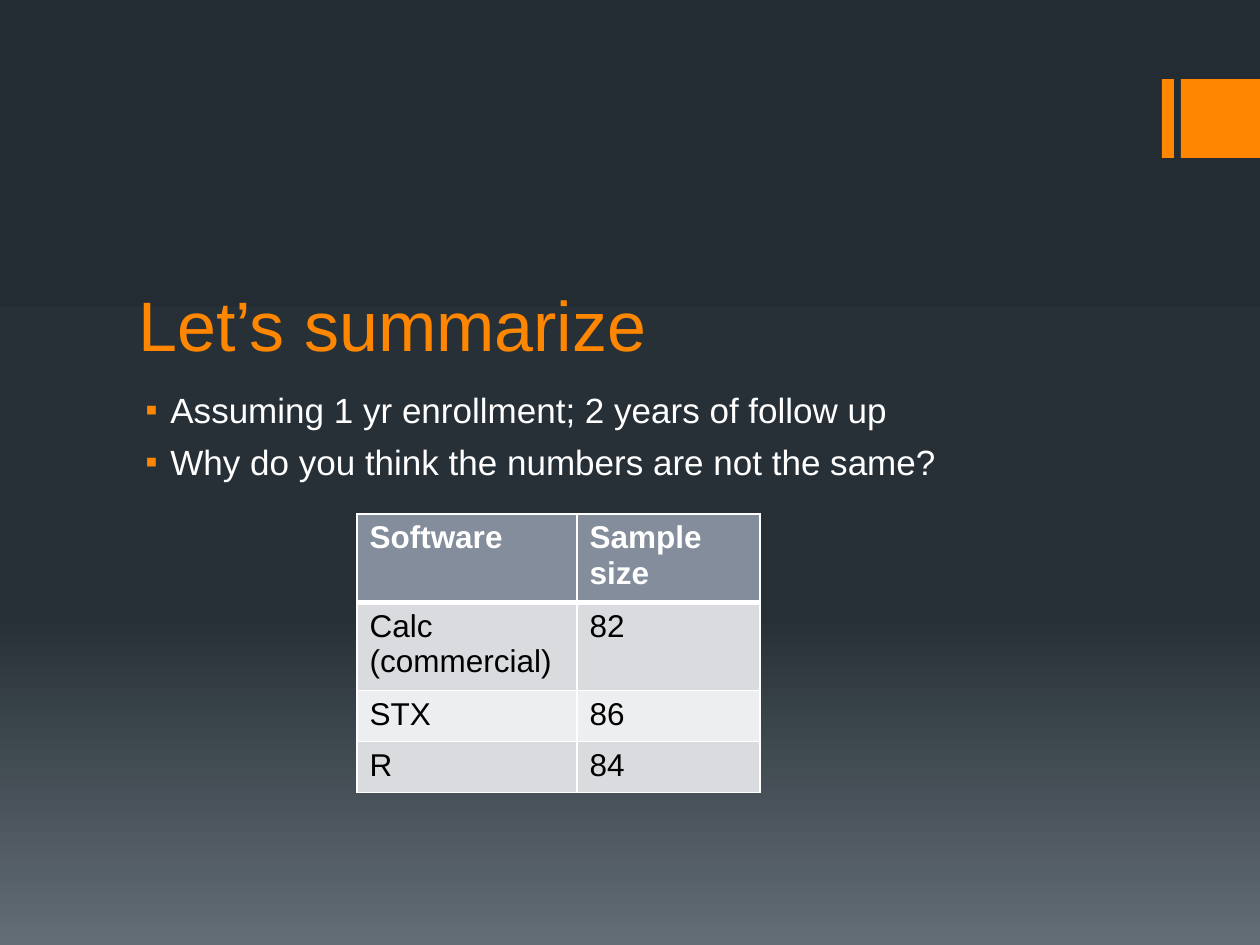
from lxml.etree import SubElement
from pptx import Presentation
from pptx.dml.color import RGBColor
from pptx.enum.shapes import MSO_SHAPE
from pptx.enum.text import MSO_ANCHOR, PP_ALIGN
from pptx.oxml import parse_xml
from pptx.oxml.ns import nsdecls, qn
from pptx.util import Pt

SCALE = 914400 / 126
FONT = "Arial"
COLORS = {
    "night": "242C33", "slate": "273037", "mist": "636D76",
    "accent": "FF8600", "light": "FFFFFF", "dark": "000000",
    "header": "838D9B", "odd": "D9DBDE", "even": "EDEEEF",
}
POINTS = ["Assuming 1 yr enrollment; 2 years of follow up",
          "Why do you think the numbers are not the same?"]
SAMPLE_SIZES = [("Software", "Sample size"), ("Calc (commercial)", "82"),
                ("STX", "86"), ("R", "84")]


def px(length):
    """Turn pixels into EMU."""
    return round(length * SCALE)


def rgb(name):
    """Look up a named colour."""
    return RGBColor.from_string(COLORS[name])


def style(paragraph, size, color, bold=False):
    """Format every run of a paragraph."""
    paragraph.alignment = PP_ALIGN.LEFT
    for run in paragraph.runs:
        run.font.name, run.font.size, run.font.bold = FONT, Pt(size), bold
        run.font.color.rgb = rgb(color)


def paint_background(slide):
    """Fill the slide with a downward three-stop gradient."""
    fill = slide.background.fill
    fill.gradient()
    fill.gradient_angle = 270
    stops = next(slide.element.iter(qn("a:gsLst")))
    for stop in list(stops):
        stops.remove(stop)
    for percent, color in ((0, "night"), (65, "slate"), (100, "mist")):
        stop = SubElement(stops, qn("a:gs"), pos=str(percent * 1000))
        SubElement(stop, qn("a:srgbClr"), val=COLORS[color])


def add_corner_bars(slide, left, top, width, height):
    """Place a thin bar and a square against the right edge."""
    for offset, bar_width in ((0, 12), (width - height, height)):
        bar = slide.shapes.add_shape(MSO_SHAPE.RECTANGLE, px(left + offset), px(top),
                                     px(bar_width), px(height))
        bar.shadow.inherit = False
        bar.fill.solid()
        bar.fill.fore_color.rgb = rgb("accent")
        bar.line.fill.background()


def add_text_frame(slide, left, top, width, height):
    """Add a wrapping text box and return its frame."""
    frame = slide.shapes.add_textbox(px(left), px(top), px(width), px(height)).text_frame
    frame.word_wrap = True
    return frame


def add_title(slide, left, top, width, height):
    """Place the heading at the bottom of its box."""
    heading = add_text_frame(slide, left, top, width, height)
    heading.vertical_anchor = MSO_ANCHOR.BOTTOM
    heading.text = "Let’s summarize"
    style(heading.paragraphs[0], 40, "accent")


def add_points(slide, left, top, width, height):
    """List the points with square accent bullets."""
    body = add_text_frame(slide, left, top, width, height)
    body.text = "\n".join(POINTS)
    for point in body.paragraphs:
        style(point, 20, "light")
        point.space_before = Pt(5.6)
        properties = point._p.get_or_add_pPr()
        properties.set("marL", str(px(32)))
        properties.set("indent", str(-px(25)))
        bullet_color = SubElement(properties, qn("a:buClr"))
        SubElement(bullet_color, qn("a:srgbClr"), val=COLORS["accent"])
        SubElement(properties, qn("a:buFont"), typeface=FONT)
        SubElement(properties, qn("a:buChar"), char="▪")


def add_borders(cell, top_width, bottom_width):
    """Draw white borders around a cell."""
    properties = cell._tc.get_or_add_tcPr()
    sides = (("L", 1), ("R", 1), ("T", top_width), ("B", bottom_width))
    for position, (side, width) in enumerate(sides):
        properties.insert(position, parse_xml(
            f'<a:ln{side} {nsdecls("a")} w="{Pt(width)}"><a:solidFill>'
            f'<a:srgbClr val="{COLORS["light"]}"/></a:solidFill></a:ln{side}>'))


def add_sample_table(slide, left, top, width, height):
    """Tabulate the sample size given by each software."""
    table = slide.shapes.add_table(len(SAMPLE_SIZES), 2, px(left), px(top),
                                   px(width), px(height)).table
    for column, column_width in zip(table.columns, (220, width - 220)):
        column.width = px(column_width)
    for row, row_height in zip(table.rows, (83, 83, 51, 51)):
        row.height = px(row_height)
    for index, entries in enumerate(SAMPLE_SIZES):
        is_header = index == 0
        band = "header" if is_header else "odd" if index % 2 else "even"
        for column, entry in enumerate(entries):
            cell = table.cell(index, column)
            cell.text = entry
            style(cell.text_frame.paragraphs[0], 18,
                  "light" if is_header else "dark", is_header)
            cell.fill.solid()
            cell.fill.fore_color.rgb = rgb(band)
            add_borders(cell, 3 if index == 1 else 1, 3 if is_header else 1)


def main():
    """Build and save the summary slide."""
    deck = Presentation()
    deck.slide_width, deck.slide_height = px(1260), px(945)
    slide = deck.slides.add_slide(deck.slide_layouts[6])
    paint_background(slide)
    add_corner_bars(slide, 1162, 79, 98, 79)
    add_title(slide, 126, 213, 1008, 159)
    add_points(slide, 126, 382, 1008, 488)
    add_sample_table(slide, 357, 514, 403, 268)
    deck.save("out.pptx")


if __name__ == "__main__":
    main()
